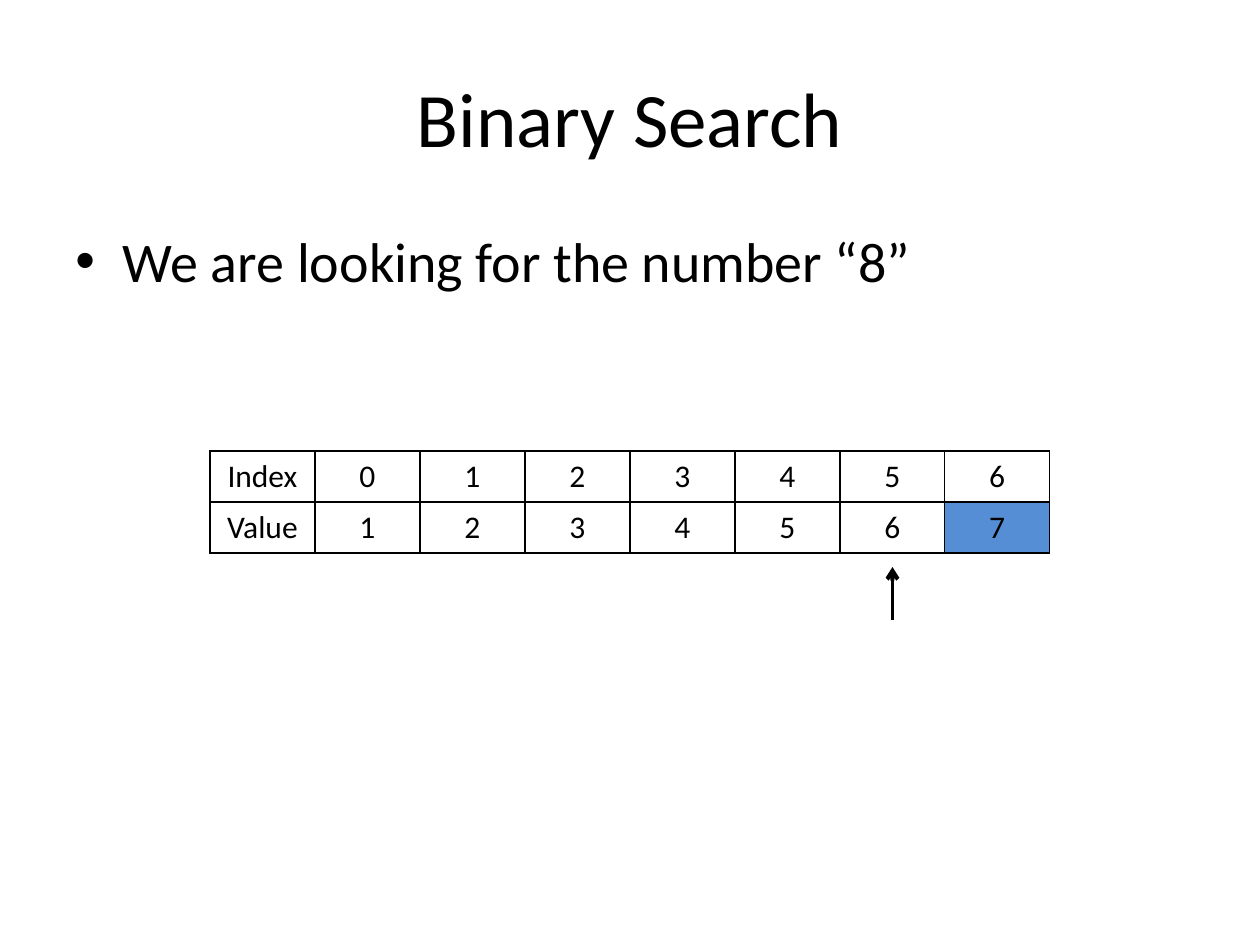
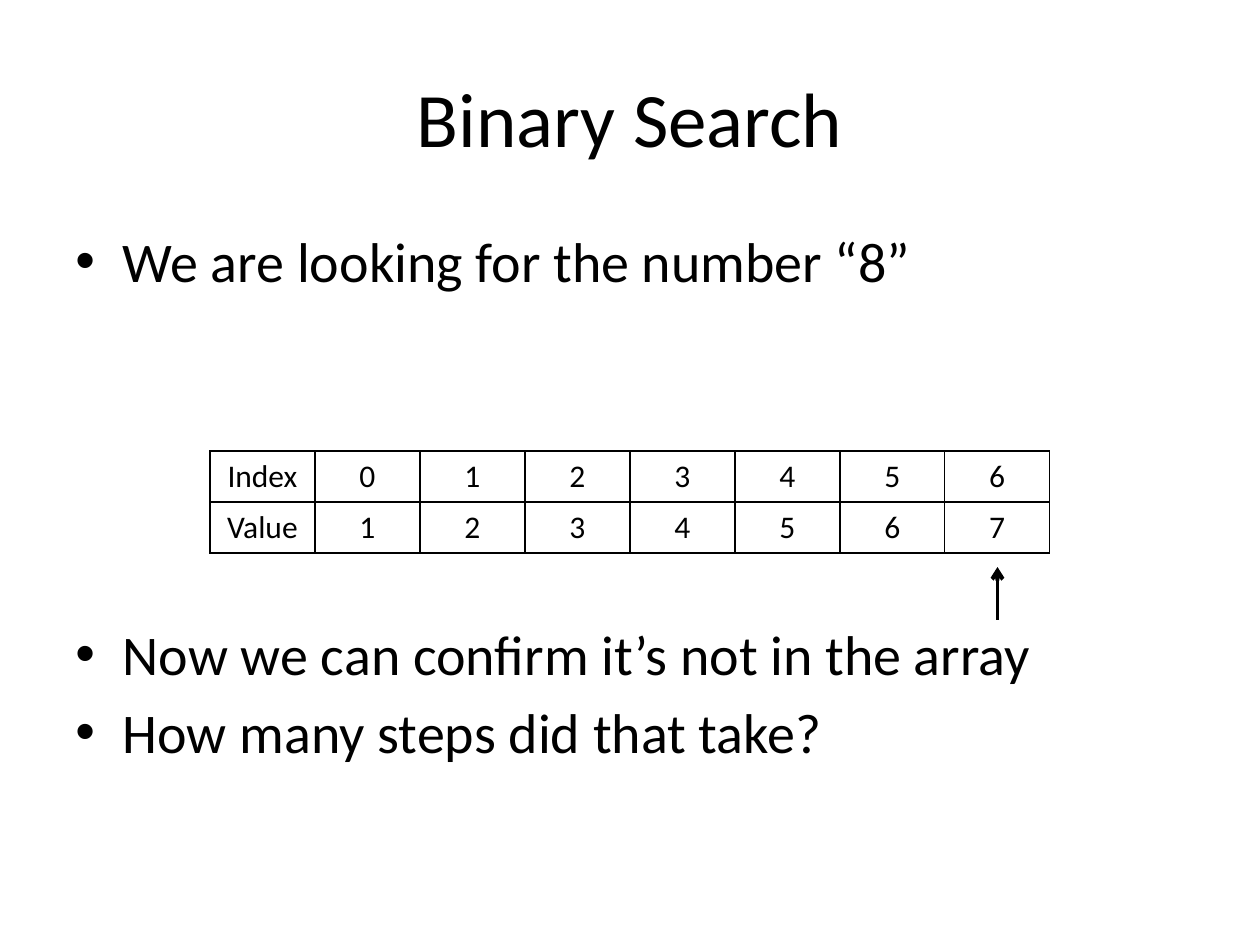
from dataclasses import dataclass

from lxml.etree import SubElement
from pptx import Presentation
from pptx.dml.color import RGBColor
from pptx.enum.shapes import MSO_CONNECTOR
from pptx.enum.text import MSO_ANCHOR, PP_ALIGN
from pptx.oxml.ns import qn
from pptx.slide import Slide
from pptx.util import Inches, Pt

FONT = "Calibri"
BLACK = "000000"
HIGHLIGHT = "558ED5"
TITLE_ONLY_LAYOUT = 5

TABLE_LEFT = 5 / 3
TABLE_TOP = 3.58
COLUMN_WIDTH = 5 / 6
ROW_HEIGHT = 0.405
ARROW_TOP = 4.5
ARROW_BOTTOM = 4.92

ARRAY_ROWS = [
    ["Index", *map(str, range(7))],
    ["Value", *map(str, range(1, 8))],
]


@dataclass(frozen=True)
class Bullet:
    text: str
    space_before: float = 6.4


@dataclass(frozen=True)
class SearchStep:
    bullets: tuple[Bullet, ...]
    probed_index: int
    remaining_indexes: tuple[int, ...] = ()


QUESTION = Bullet("We are looking for the number “8”", space_before=0)
STEPS = [
    SearchStep((QUESTION,), probed_index=5, remaining_indexes=(6,)),
    SearchStep(
        (
            QUESTION,
            Bullet("Now we can confirm it’s not in the array", space_before=186),
            Bullet("How many steps did that take?"),
        ),
        probed_index=6,
    ),
]


def rgb(hex_colour: str) -> RGBColor:
    return RGBColor.from_string(hex_colour)


def format_paragraph(paragraph, size: float, alignment: PP_ALIGN) -> None:
    paragraph.alignment = alignment
    paragraph.font.name = FONT
    paragraph.font.size = Pt(size)
    paragraph.font.color.rgb = rgb(BLACK)


def add_title(slide: Slide, text: str) -> None:
    title = slide.shapes.title
    title.left, title.top = Inches(0.5), Inches(0.3)
    title.width, title.height = Inches(9), Inches(1.25)
    title.text_frame.text = text
    title.text_frame.vertical_anchor = MSO_ANCHOR.MIDDLE
    format_paragraph(title.text_frame.paragraphs[0], 44, PP_ALIGN.CENTER)


def add_bullets(slide: Slide, bullets: tuple[Bullet, ...]) -> None:
    body = slide.shapes.add_textbox(Inches(0.5), Inches(1.75), Inches(9), Inches(4.95))
    frame = body.text_frame
    frame.word_wrap = True
    frame.text = "\n".join(bullet.text for bullet in bullets)
    indent = Inches(0.375)
    for paragraph, bullet in zip(frame.paragraphs, bullets):
        format_paragraph(paragraph, 32, PP_ALIGN.LEFT)
        paragraph.space_before = Pt(bullet.space_before)
        properties = paragraph._p.get_or_add_pPr()
        properties.set("marL", str(indent))
        properties.set("indent", str(-indent))
        # The bullet elements must precede the default run properties.
        position = properties.index(properties.find(qn("a:defRPr")))
        bullet_font = SubElement(properties, qn("a:buFont"), typeface="Arial")
        bullet_mark = SubElement(properties, qn("a:buChar"), char="•")
        properties.insert(position, bullet_font)
        properties.insert(position + 1, bullet_mark)


def add_cell_borders(cell) -> None:
    properties = cell._tc.get_or_add_tcPr()
    for side in ("L", "R", "T", "B"):
        border = SubElement(properties, qn(f"a:ln{side}"), w=str(Pt(1)))
        fill = SubElement(border, qn("a:solidFill"))
        SubElement(fill, qn("a:srgbClr"), val=BLACK)


def add_array_table(slide: Slide, remaining_indexes: tuple[int, ...]) -> None:
    row_count, column_count = len(ARRAY_ROWS), len(ARRAY_ROWS[0])
    table = slide.shapes.add_table(
        row_count, column_count, Inches(TABLE_LEFT), Inches(TABLE_TOP),
        Inches(COLUMN_WIDTH * column_count), Inches(ROW_HEIGHT * row_count),
    ).table
    table.first_row = False
    table.horz_banding = False
    for row, texts in enumerate(ARRAY_ROWS):
        for column, text in enumerate(texts):
            cell = table.cell(row, column)
            cell.text = text
            format_paragraph(cell.text_frame.paragraphs[0], 18, PP_ALIGN.CENTER)
            add_cell_borders(cell)
            if row == 1 and column - 1 in remaining_indexes:
                cell.fill.solid()
                cell.fill.fore_color.rgb = rgb(HIGHLIGHT)
            else:
                cell.fill.background()


def add_probe_arrow(slide: Slide, index: int) -> None:
    """Point up at the middle of the column that holds the index."""
    x = Inches(TABLE_LEFT + COLUMN_WIDTH * (index + 1.5))
    arrow = slide.shapes.add_connector(
        MSO_CONNECTOR.STRAIGHT, x, Inches(ARROW_BOTTOM), x, Inches(ARROW_TOP)
    )
    arrow.line.color.rgb = rgb(BLACK)
    arrow.line.width = Pt(2.25)
    SubElement(arrow.line._get_or_add_ln(), qn("a:tailEnd"), type="arrow")
    SubElement(arrow._element.spPr, qn("a:effectLst"))


def main() -> None:
    presentation = Presentation()
    presentation.slide_width = Inches(10)
    presentation.slide_height = Inches(7.5)
    for step in STEPS:
        slide = presentation.slides.add_slide(presentation.slide_layouts[TITLE_ONLY_LAYOUT])
        add_title(slide, "Binary Search")
        add_bullets(slide, step.bullets)
        add_array_table(slide, step.remaining_indexes)
        add_probe_arrow(slide, step.probed_index)
    presentation.save("out.pptx")


if __name__ == "__main__":
    main()
